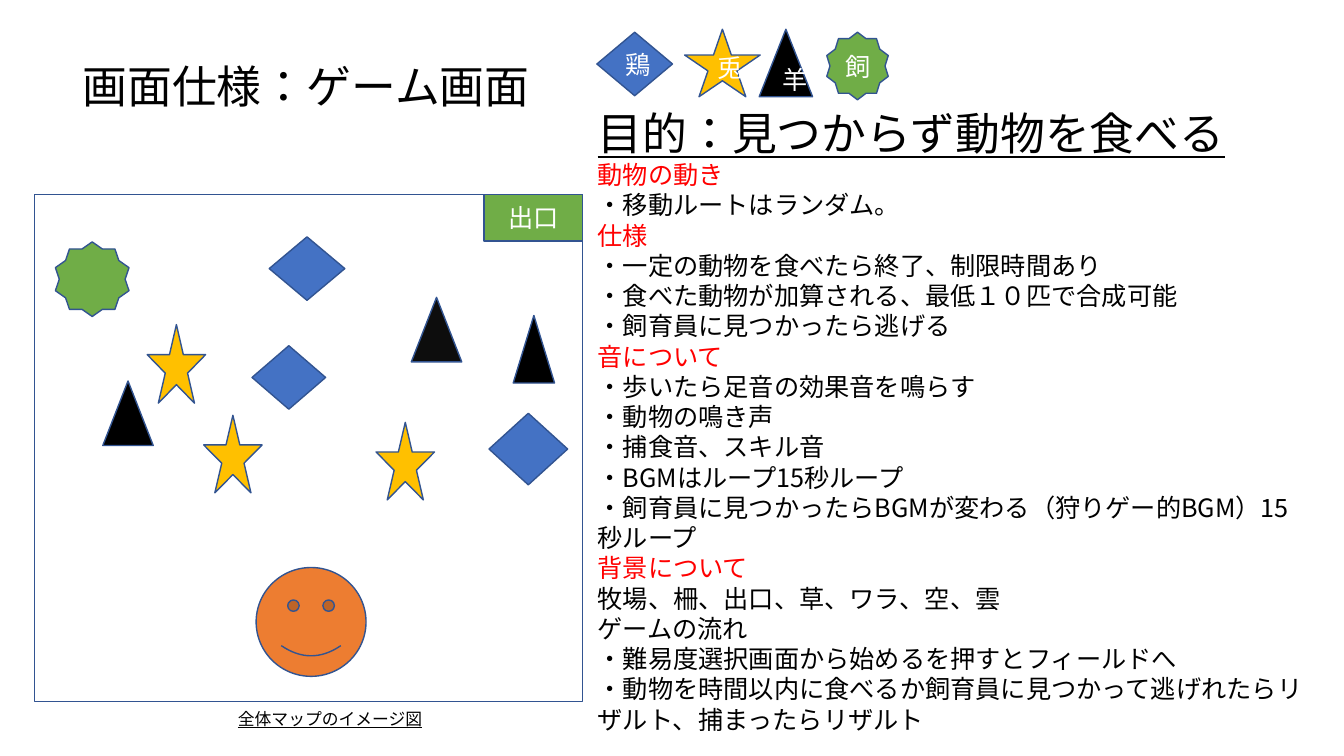
from lxml import etree
from pptx import Presentation
from pptx import util as u
from pptx.dml.color import RGBColor
from pptx.enum import lang, shapes, text
from pptx.oxml.ns import qn

FONT = "Noto Sans CJK JP"
BLACK, WHITE = RGBColor(0, 0, 0), RGBColor(255, 255, 255)
CHARCOAL, RED = RGBColor(0x0D, 0x0D, 0x0D), RGBColor(255, 0, 0)
OUTLINE, BLUE = RGBColor(0x32, 0x54, 0x91), RGBColor(0x44, 0x72, 0xC4)
GREEN, GOLD = RGBColor(0x70, 0xAD, 0x47), RGBColor(0xFF, 0xC0, 0)
ORANGE = RGBColor(0xED, 0x7D, 0x31)

PRESET = shapes.MSO_SHAPE
CHICKEN = (PRESET.DIAMOND, BLUE)
RABBIT = (PRESET.STAR_5_POINT, GOLD)
SHEEP = (PRESET.ISOSCELES_TRIANGLE, BLACK)
DARK_SHEEP = (PRESET.ISOSCELES_TRIANGLE, CHARCOAL)
KEEPER = (PRESET.STAR_10_POINT, GREEN)
PLAYER = (PRESET.SMILEY_FACE, ORANGE)
FIELD = (PRESET.RECTANGLE, WHITE)
EXIT = (PRESET.RECTANGLE, GREEN)

# Figure, (left, top, width, height), label
MAP_FIGURES = [
    (FIELD, (0.34, 1.93, 5.44, 5.03), ""),
    (PLAYER, (2.54, 5.63, 1.09, 1.08), ""),
    (DARK_SHEEP, (4.08, 2.95, 0.5, 0.64), ""),
    (CHICKEN, (4.85, 4.1, 0.78, 0.71), ""),
    (RABBIT, (3.73, 4.19, 0.58, 0.77), ""),
    (CHICKEN, (2.5, 3.43, 0.73, 0.63), ""),
    (CHICKEN, (2.67, 2.35, 0.75, 0.63), ""),
    (RABBIT, (2.02, 4.12, 0.58, 0.77), ""),
    (RABBIT, (1.46, 3.22, 0.58, 0.78), ""),
    (SHEEP, (1.02, 3.78, 0.5, 0.64), ""),
    (SHEEP, (5.09, 3.13, 0.41, 0.67), ""),
    (KEEPER, (0.55, 2.4, 0.73, 0.74), ""),
    (EXIT, (4.8, 1.93, 0.98, 0.46), "出口"),
]
LEGEND = [
    (RABBIT, (6.79, 0.29, 0.75, 0.67), "兎"),
    (CHICKEN, (5.92, 0.32, 0.75, 0.63), "鶏"),
    (SHEEP, (7.53, 0.29, 0.53, 0.67), "羊"),
    (KEEPER, (8.2, 0.32, 0.61, 0.67), "飼"),
]

TITLE = "画面仕様：ゲーム画面"
CAPTION = "全体マップのイメージ図"
PURPOSE = "目的：見つからず動物を食べる"
SECTIONS = [
    ("動物の動き", ["・移動ルートはランダム。"]),
    ("仕様", [
        "・一定の動物を食べたら終了、制限時間あり",
        "・食べた動物が加算される、最低１０匹で合成可能",
        "・飼育員に見つかったら逃げる",
    ]),
    ("音について", [
        "・歩いたら足音の効果音を鳴らす",
        "・動物の鳴き声",
        "・捕食音、スキル音",
        "・BGMはループ15秒ループ",
        "・飼育員に見つかったらBGMが変わる（狩りゲー的BGM）15秒ループ",
    ]),
    ("背景について", [
        "牧場、柵、出口、草、ワラ、空、雲",
        "ゲームの流れ",
        "・難易度選択画面から始めるを押すとフィールドへ",
        "・動物を時間以内に食べるか飼育員に見つかって逃げれたらリザルト、捕まったらリザルト",
    ]),
]


def write_line(paragraph, words, size=18, color=BLACK, underline=False, align=None):
    """Write one styled run into a paragraph."""
    paragraph.alignment = align
    run = paragraph.add_run()
    run.text = words
    font = run.font
    font.size, font.name, font.underline = u.Pt(size), FONT, underline
    font.color.rgb = color
    font.language_id = lang.MSO_LANGUAGE_ID.JAPANESE
    latin = font._element.find(qn("a:latin"))
    east_asian = etree.Element(qn("a:ea"), typeface=FONT)
    latin.addnext(east_asian)


def add_figure(slide, figure, box, label):
    """Draw an outlined figure, with a white label if it has one."""
    preset, fill = figure
    drawn = slide.shapes.add_shape(preset, *map(u.Inches, box))
    drawn.shadow.inherit = False
    drawn.fill.solid()
    drawn.fill.fore_color.rgb = fill
    drawn.line.color.rgb = OUTLINE
    drawn.line.width = u.Pt(1)
    if label:
        frame = drawn.text_frame
        frame.vertical_anchor = text.MSO_ANCHOR.MIDDLE
        write_line(frame.paragraphs[0], label, color=WHITE, align=text.PP_ALIGN.CENTER)


def add_lines(slide, box, lines):
    """Add a wrapping text box with one paragraph per (words, style) line."""
    frame = slide.shapes.add_textbox(*map(u.Inches, box)).text_frame
    frame.word_wrap = True
    frame.auto_size = text.MSO_AUTO_SIZE.SHAPE_TO_FIT_TEXT
    for index, (words, style) in enumerate(lines):
        paragraph = frame.add_paragraph() if index else frame.paragraphs[0]
        write_line(paragraph, words, **style)


deck = Presentation()
deck.slide_width, deck.slide_height = u.Inches(13.33), u.Inches(7.5)
slide = deck.slides.add_slide(deck.slide_layouts[6])

for figure, box, label in MAP_FIGURES + LEGEND:
    add_figure(slide, figure, box, label)

spec_lines = [(PURPOSE, {"size": 32, "underline": True})]
for heading, details in SECTIONS:
    spec_lines.append((heading, {"color": RED}))
    spec_lines += [(detail, {}) for detail in details]

add_lines(slide, (0.72, 0.53, 4.72, 0.64), [(TITLE, {"size": 32})])
add_lines(slide, (5.83, 1, 7.27, 7), spec_lines)
add_lines(slide, (2.26, 6.98, 2.03, 0.3), [
    (CAPTION, {"size": 12, "underline": True, "align": text.PP_ALIGN.CENTER}),
])

deck.save("out.pptx")
